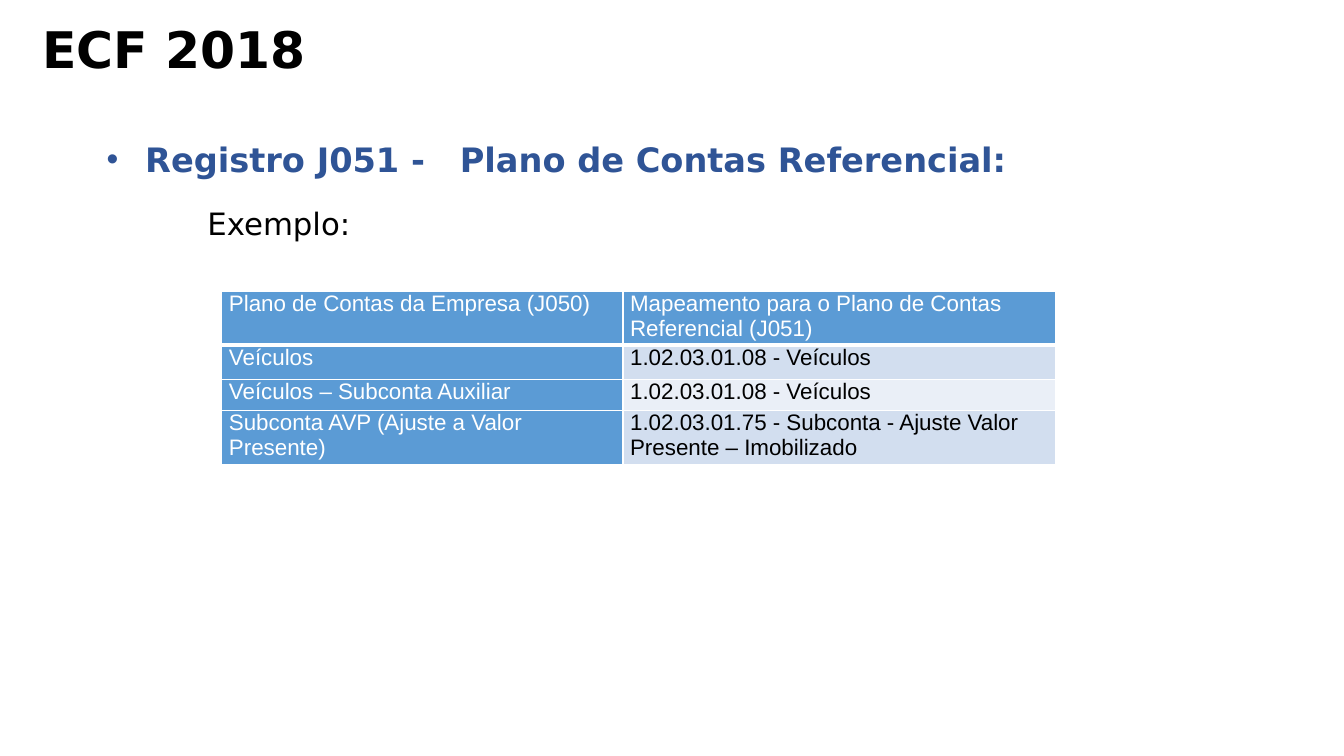
"""Build the ECF 2018 slide on the J051 referential chart of accounts."""
from dataclasses import dataclass, field

from lxml.etree import SubElement
from pptx import Presentation
from pptx.dml.color import RGBColor
from pptx.enum.text import MSO_ANCHOR as Anchor, PP_ALIGN as Align
from pptx.oxml.ns import qn
from pptx.slide import Slide
from pptx.table import _Cell as Cell
from pptx.text.text import _Paragraph as Para
from pptx.util import Cm, Pt

BLACK = RGBColor(0x00, 0x00, 0x00)
WHITE = RGBColor(0xFF, 0xFF, 0xFF)
NAVY = RGBColor(0x2F, 0x54, 0x96)
BLUE = RGBColor(0x5B, 0x9B, 0xD5)
PALE = RGBColor(0xD2, 0xDE, 0xEF)
LIGHT = RGBColor(0xEA, 0xEF, 0xF7)
SANS = "DejaVu Sans"
SIDES = ("lnL", "lnR", "lnT", "lnB")


@dataclass
class Line:
    """One paragraph of text with its format."""
    text: str
    size: int
    color: RGBColor = BLACK
    bold: bool = False
    left: float = 0
    hang: float = 0
    tab: float = 0
    bullet: str = ""
    form: dict = field(default_factory=dict)


@dataclass
class Box:
    """One text box with its place in centimetres."""
    left: float
    top: float
    width: float
    height: float
    anchor: Anchor
    lines: list[Line]


BOXES = [
    Box(0.81, 0.71, 25.4, 1.42, Anchor.BOTTOM, [
        Line("ECF 2018", 36, bold=True, form={"line_spacing": 0.9}),
    ]),
    Box(2.44, 3.48, 29.06, 14.1, Anchor.TOP, [
        Line("Registro J051 -\tPlano de Contas Referencial:", 24, NAVY, True,
             0.97, -0.97, 8.9, "•",
             {"alignment": Align.JUSTIFY, "line_spacing": 0.9}),
        Line("Exemplo:", 22, left=2.54,
             form={"alignment": Align.JUSTIFY, "level": 2,
                   "line_spacing": 1.5, "space_before": Pt(5)}),
    ]),
]
COLS = (10.11, 10.9)
ROWS = (1.35, 0.86, 0.79, 1.37)
CELLS = (
    ("Plano de Contas da Empresa (J050)",
     "Mapeamento para o Plano de Contas Referencial (J051)"),
    ("Veículos", "1.02.03.01.08 - Veículos"),
    ("Veículos – Subconta Auxiliar", "1.02.03.01.08 - Veículos"),
    ("Subconta AVP (Ajuste a Valor Presente)",
     "1.02.03.01.75 - Subconta - Ajuste Valor Presente – Imobilizado"),
)


def assign(item: object, values: dict) -> None:
    """Set each named attribute of the item."""
    for name, value in values.items():
        setattr(item, name, value)


def write(para: Para, line: Line, face: str) -> None:
    """Write one line into a paragraph."""
    props = para._p.get_or_add_pPr()
    props.set("marL", str(Cm(line.left)))
    props.set("indent", str(Cm(line.hang)))
    if line.bullet:
        tint = SubElement(props, qn("a:buClr"))
        SubElement(tint, qn("a:srgbClr"), val=str(line.color))
        SubElement(props, qn("a:buFont"), typeface="Arial")
        SubElement(props, qn("a:buChar"), char=line.bullet)
    if line.tab:
        tabs = SubElement(props, qn("a:tabLst"))
        SubElement(tabs, qn("a:tab"), pos=str(Cm(line.tab)), algn="l")
    assign(para, line.form)
    para.text = line.text
    for run in para.runs:
        assign(run.font, {"name": face, "size": Pt(line.size), "bold": line.bold})
        run.font.color.rgb = line.color


def add_box(slide: Slide, box: Box) -> None:
    """Add a text box with all its lines."""
    place = map(Cm, (box.left, box.top, box.width, box.height))
    frame = slide.shapes.add_textbox(*place).text_frame
    assign(frame, {"word_wrap": True, "vertical_anchor": box.anchor})
    for index, line in enumerate(box.lines):
        para = frame.add_paragraph() if index else frame.paragraphs[0]
        write(para, line, SANS)


def edge(cell: Cell, head: bool) -> None:
    """Draw white borders around a cell, heavier below the header."""
    props = cell._tc.get_or_add_tcPr()
    for index, side in enumerate(SIDES):
        width = Pt(3 if head and side == "lnB" else 1)
        rule = props.makeelement(qn(f"a:{side}"), {"w": str(width)})
        fill = SubElement(rule, qn("a:solidFill"))
        SubElement(fill, qn("a:srgbClr"), val=str(WHITE))
        props.insert(index, rule)


def add_grid(slide: Slide) -> None:
    """Add the table that maps company accounts to referential ones."""
    grid = slide.shapes.add_table(len(ROWS), len(COLS), Cm(5.59), Cm(7.34),
                                  Cm(sum(COLS)), Cm(sum(ROWS))).table
    for col, width in zip(grid.columns, COLS):
        col.width = Cm(width)
    for y, (height, texts) in enumerate(zip(ROWS, CELLS)):
        grid.rows[y].height = Cm(height)
        for x, text in enumerate(texts):
            cell = grid.cell(y, x)
            assign(cell, {"margin_left": Cm(0.18), "margin_right": Cm(0.18),
                          "margin_top": 0, "margin_bottom": 0})
            key = y == 0 or x == 0
            cell.fill.solid()
            cell.fill.fore_color.rgb = BLUE if key else PALE if y % 2 else LIGHT
            edge(cell, y == 0)
            write(cell.text_frame.paragraphs[0],
                  Line(text, 16, WHITE if key else BLACK), "Arial")


def main() -> None:
    """Build and save the slide."""
    deck = Presentation()
    assign(deck, {"slide_width": Cm(33.87), "slide_height": Cm(19.05)})
    slide = deck.slides.add_slide(deck.slide_layouts[6])
    for box in BOXES:
        add_box(slide, box)
    add_grid(slide)
    deck.save("out.pptx")


if __name__ == "__main__":
    main()
